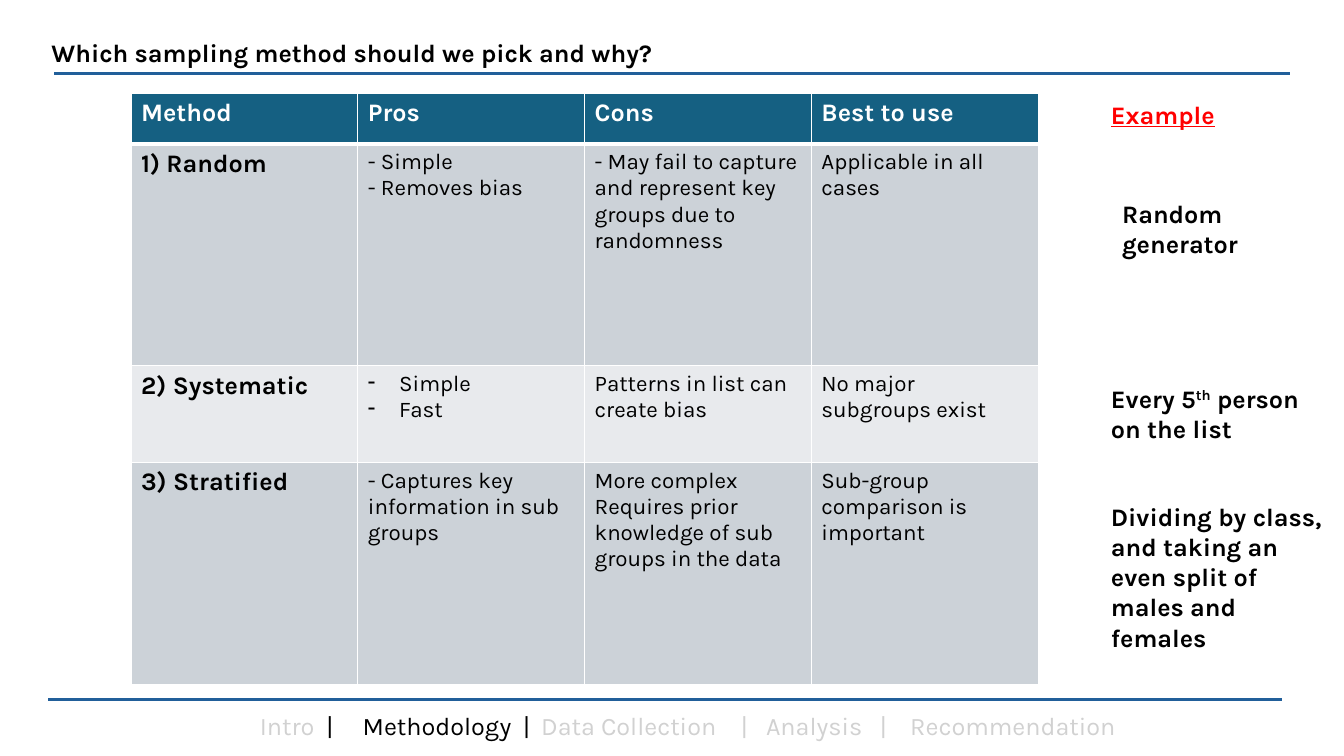
import pptx
import pptx.dml.color
import pptx.enum.shapes
import pptx.enum.text
import pptx.oxml.ns
import pptx.util
from dataclasses import dataclass
from lxml import etree

TITLE = "Which sampling method should we pick and why?"
HEADER = ["Method", "Pros", "Cons", "Best to use"]
METHODS = [
    ("1) Random", ["- Simple", "- Removes bias"],
     ["- May fail to capture and represent key groups due to randomness"],
     ["Applicable in all cases"]),
    ("2) Systematic", ["Simple", "Fast"],
     ["Patterns in list can create bias"], ["No major subgroups exist"]),
    ("3) Stratified", ["- Captures key information in sub groups"],
     ["More complex", "Requires prior knowledge of sub groups in the data"],
     ["Sub-group comparison is important"]),
]
BULLETED_CELL = (2, 1)
EXAMPLE_HEADING = "Example"
EXAMPLES = [
    ([("Random generator", 0)], (82.75, 25.6, 13.73, 9.47)),
    ([("Every 5", 0), ("th", 30), (" person on the list", 0)], (81.92, 50, 17.25, 9.47)),
    ([("Dividing by class, and taking an even split of males and females", 0)],
     (81.92, 65.6, 17.25, 21.6)),
]
SECTIONS = [("Intro", "muted"), ("\t|\tMethodology\t|", "ink"),
            ("\tData Collection\t|\tAnalysis\t|\tRecommendation", "muted")]
SECTION_TABS = [0.66, 1.02, 2.61, 2.79, 4.77, 5.02, 6.15, 6.45]

TITLE_AREA = (3.08, 4.27, 52.81, 5.33)
TABLE_AREA = (9.75, 12.4, 67.5, 78.13)
HEADING_AREA = (81.92, 12.53, 14.55, 5.33)
SECTIONS_AREA = (18.6, 93.33, 70.14, 5.33)
RULES = [(4.05, 95.95, 9.73), (3.6, 95.42, 92.53)]
ROW_SHARES = [6.67, 29.33, 12.8, 29.33]


@dataclass
class Theme:
    font: str = "Karla"
    large: int = 18
    small: int = 16
    ink: str = "000000"
    white: str = "FFFFFF"
    muted: str = "D1D1D1"
    accent: str = "FF0000"
    rule: str = "215F9A"
    header: str = "156082"
    band_dark: str = "CCD2D8"
    band_light: str = "E8EAED"


theme = Theme()
deck = pptx.Presentation()
deck.slide_width = pptx.util.Inches(13.33)
deck.slide_height = pptx.util.Inches(7.5)


def across(share):
    return int(deck.slide_width * share / 100)


def down(share):
    return int(deck.slide_height * share / 100)


def place(area):
    left, top, width, height = area
    return across(left), down(top), across(width), down(height)


def color(value):
    return pptx.dml.color.RGBColor.from_string(value)


def child(parent, tag, **attributes):
    return etree.SubElement(parent, pptx.oxml.ns.qn(tag), attributes)


def write(para, text, ink=theme.ink, size=theme.large, bold=True):
    span = para.add_run()
    span.text = text
    span.font.name = theme.font
    span.font.size = pptx.util.Pt(size)
    span.font.bold = bold
    span.font.color.rgb = color(ink)
    return span


def add_box(page, area):
    box = page.shapes.add_textbox(*place(area))
    box.text_frame.word_wrap = True
    return box.text_frame.paragraphs[0]


def add_rule(page, start, end, level):
    line = page.shapes.add_connector(
        pptx.enum.shapes.MSO_CONNECTOR.STRAIGHT,
        across(start), down(level), across(end), down(level))
    line.line.color.rgb = color(theme.rule)
    line.line.width = pptx.util.Pt(1.5)
    child(line._element.spPr, "a:effectLst")


def add_title(page):
    title = page.shapes.title
    title.left, title.top, title.width, title.height = place(TITLE_AREA)
    frame = title.text_frame
    frame.word_wrap = True
    frame.auto_size = pptx.enum.text.MSO_AUTO_SIZE.NONE
    frame.vertical_anchor = pptx.enum.text.MSO_ANCHOR.TOP
    para = frame.paragraphs[0]
    para.alignment = pptx.enum.text.PP_ALIGN.LEFT
    para.line_spacing = 1.0
    write(para, TITLE)


def style_cell(cell, row):
    properties = cell._tc.get_or_add_tcPr()
    widths = {"L": 1, "R": 1, "T": 3 if row == 1 else 1, "B": 3 if row == 0 else 1}
    for side, width in widths.items():
        border = child(properties, "a:ln" + side, w=str(pptx.util.Pt(width)))
        child(child(border, "a:solidFill"), "a:srgbClr", val=theme.white)
    cell.fill.solid()
    band = theme.band_dark if row % 2 else theme.band_light
    cell.fill.fore_color.rgb = color(theme.header if row == 0 else band)


def add_bullet(para):
    properties = para._p.get_or_add_pPr()
    indent = pptx.util.Inches(0.31)
    properties.set("marL", str(indent))
    properties.set("indent", str(-indent))
    child(properties, "a:buChar", char="-")


def add_methods(page):
    rows = [[[name] for name in HEADER]]
    rows += [[[name], *details] for name, *details in METHODS]
    table = page.shapes.add_table(len(rows), len(HEADER), *place(TABLE_AREA)).table
    for column in table.columns:
        column.width = across(TABLE_AREA[2] / len(HEADER))
    for r, entries in enumerate(rows):
        table.rows[r].height = down(ROW_SHARES[r])
        for c, lines in enumerate(entries):
            cell = table.cell(r, c)
            style_cell(cell, r)
            strong = r == 0 or c == 0
            for i, text in enumerate(lines):
                frame = cell.text_frame
                para = frame.add_paragraph() if i else frame.paragraphs[0]
                if (r, c) == BULLETED_CELL:
                    add_bullet(para)
                write(para, text, theme.ink if r else theme.white,
                      theme.large if strong else theme.small, strong)


def add_examples(page):
    write(add_box(page, HEADING_AREA), EXAMPLE_HEADING, theme.accent).font.underline = True
    for spans, area in EXAMPLES:
        para = add_box(page, area)
        for text, raised in spans:
            span = write(para, text)
            if raised:
                span._r.get_or_add_rPr().set("baseline", str(raised * 1000))


def add_sections(page):
    para = add_box(page, SECTIONS_AREA)
    stops = child(para._p.get_or_add_pPr(), "a:tabLst")
    for stop in SECTION_TABS:
        child(stops, "a:tab", pos=str(pptx.util.Inches(stop)), algn="l")
    for text, tone in SECTIONS:
        write(para, text, getattr(theme, tone), bold=False)


def main():
    page = deck.slides.add_slide(deck.slide_layouts.get_by_name("Title Only"))
    for rule in RULES:
        add_rule(page, *rule)
    add_methods(page)
    add_title(page)
    add_sections(page)
    add_examples(page)
    deck.save("out.pptx")


if __name__ == "__main__":
    main()
